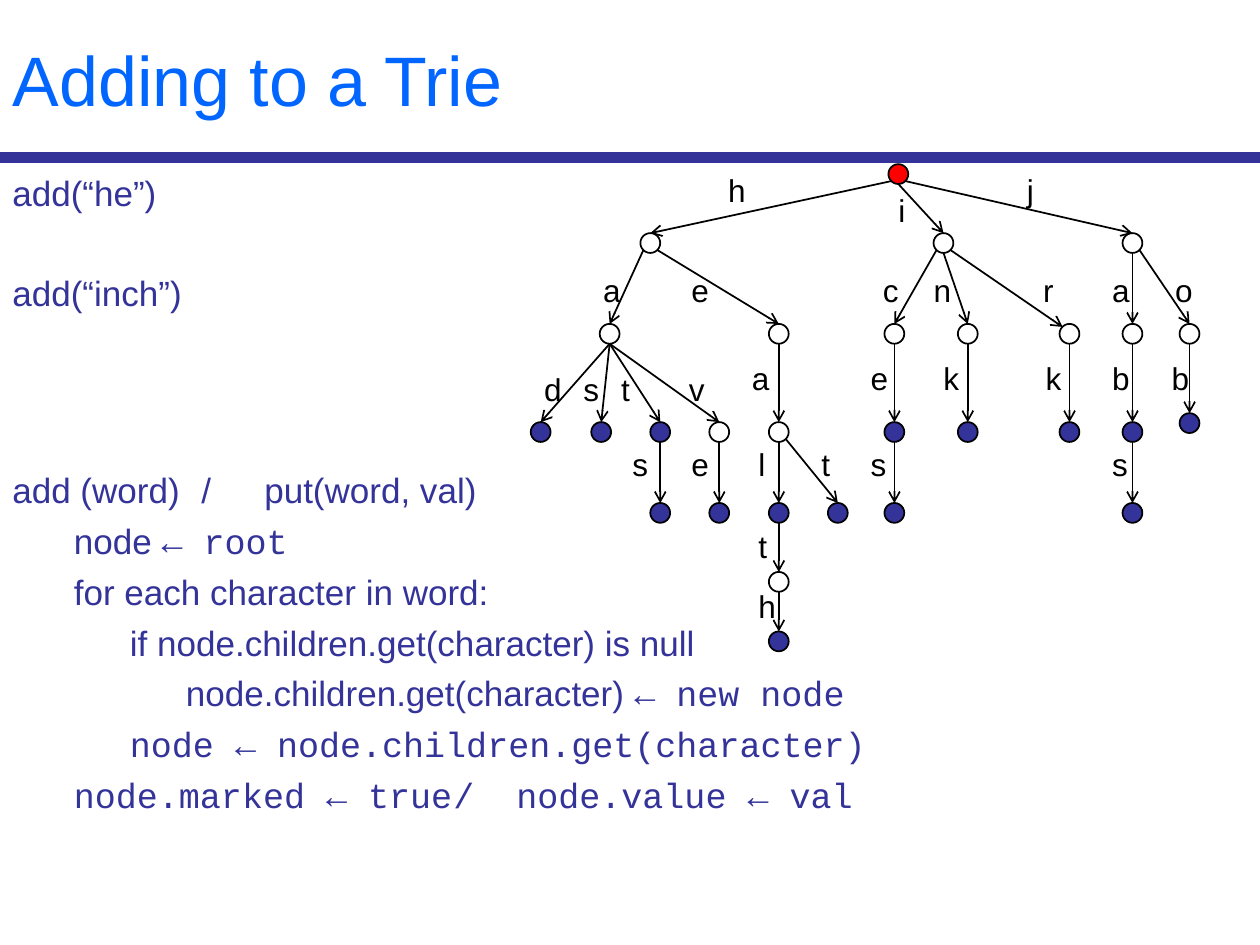
from lxml.etree import SubElement
from pptx import Presentation
from pptx.dml.color import RGBColor
from pptx.enum.shapes import MSO_CONNECTOR, MSO_SHAPE
from pptx.enum.text import MSO_ANCHOR, PP_ALIGN
from pptx.oxml.ns import qn
from pptx.util import Cm, Pt

COLORS = {"title": "0066FF", "main": "333399", "root": "FF0000",
          "open": "FFFFFF", "ink": "000000"}
SANS, MONO = "Arial", "Courier New"

# space before (pt), first-line indent (cm), tab stops (cm), runs of (text, font)
LINES = [
    (0, 0, [], [("add(“he”)", SANS)]),
    (33, 0, [], [("add(“inch”)", SANS)]),
    (89, 0, [3.75, 4.55], [("add (word)\t/\tput(word, val)", SANS)]),
    (5, 1.24, [], [("node ", SANS), ("← root", MONO)]),
    (5, 1.24, [], [("for each character in word:", SANS)]),
    (5, 2.37, [], [("if node.children.get(character) is null", SANS)]),
    (5, 3.5, [], [("node.children.get(character) ", SANS), ("← new node", MONO)]),
    (5, 2.37, [], [("node ← node.children.get(character)", MONO)]),
    (5, 1.24, [10.54, 12.65], [("node.marked ← true\t/\tnode.value ← val", MONO)]),
]

# Node centre and label corner, in cm from the top left of the trie; the key
# is the prefix a node stands for, so its parent is the key less one letter.
ROW = [0.21, 1.6, 3.43, 5.41, 7.04, 8.43, 9.63]
LABEL_ROW = [None, 0.03, 2.03, 3.81, 5.54, 7.19, 8.41]
NODE_X = {
    "": 7.61, "h": 2.61, "i": 8.52, "j": 12.33,
    "ha": 1.79, "he": 5.2, "ic": 7.53, "in": 9.01, "ir": 11.06, "ja": 12.33, "jo": 13.48,
    "had": 0.4, "has": 1.62, "hat": 2.81, "hav": 4, "hea": 5.2, "ice": 7.53,
    "ink": 9.01, "irk": 11.06, "jab": 12.33, "job": 13.48,
    "hats": 2.81, "have": 4, "heal": 5.2, "heat": 6.39, "ices": 7.53, "jabs": 12.33,
    "healt": 5.2, "health": 5.2,
}
LABEL_X = {
    "h": 3.93, "i": 7.36, "j": 9.95,
    "ha": 1.41, "he": 3.19, "ic": 7.05, "in": 8.07, "ir": 10.28, "ja": 11.67, "jo": 12.94,
    "had": 0.22, "has": 1.01, "hat": 1.77, "hav": 3.14, "hea": 4.41, "ice": 6.8,
    "ink": 8.27, "irk": 10.33, "jab": 11.67, "job": 12.87,
    "hats": 2, "have": 3.19, "heal": 4.54, "heat": 5.81, "ices": 6.8, "jabs": 11.67,
    "healt": 4.54, "health": 4.54,
}
NODE_Y = {prefix: ROW[len(prefix)] for prefix in NODE_X} | {"job": 5.23}
LABEL_Y = {prefix: LABEL_ROW[len(prefix)] for prefix in LABEL_X}
LABEL_Y |= {"i": 0.43} | dict.fromkeys(["had", "has", "hat", "hav"], 4.04)
WORDS = set("had has hat hats have heal heat health ice ices ink irk jab jabs job".split())
FROM_SIDE = {"h", "j", "ha", "he", "ic", "ir", "jo", "heat"}
RADIUS = 0.2


def color(name):
    """Return a colour of the palette."""
    return RGBColor.from_string(COLORS[name])


def format_font(font, size, color_name, name=SANS):
    """Set size, colour and typeface."""
    font.size, font.name = Pt(size), name
    font.color.rgb = color(color_name)


def add_line(slide, start, end, color_name, width, arrow=False):
    """Draw a straight line between two points in cm."""
    line = slide.shapes.add_connector(
        MSO_CONNECTOR.STRAIGHT, *(Cm(value) for value in (*start, *end)))
    line.line.color.rgb = color(color_name)
    line.line.width = Pt(width)
    if arrow:
        SubElement(line.line._get_or_add_ln(), qn("a:tailEnd"), type="arrow")
    SubElement(line._element.spPr, qn("a:effectLst"))


def add_title(slide, left, top, width, height):
    """Place the title with the rule along its lower edge."""
    add_line(slide, (left, top + height), (left + width, top + height), "main", 6)
    title = slide.shapes.title
    title.left, title.top, title.width, title.height = map(Cm, (left, top, width, height))
    title.text_frame.text = "Adding to a Trie"
    title.text_frame.vertical_anchor = MSO_ANCHOR.MIDDLE
    paragraph = title.text_frame.paragraphs[0]
    paragraph.alignment = PP_ALIGN.LEFT
    format_font(paragraph.font, 40, "title")


def add_code(slide, left, top, width, height):
    """Write the calls and the pseudocode."""
    frame = slide.shapes.add_textbox(*map(Cm, (left, top, width, height))).text_frame
    frame.word_wrap = True
    for index, (space, indent, stops, runs) in enumerate(LINES):
        paragraph = frame.add_paragraph() if index else frame.paragraphs[0]
        paragraph.space_before = Pt(space)
        properties = paragraph._p.get_or_add_pPr()
        properties.set("marL", "0")
        properties.set("indent", str(Cm(indent)))
        if stops:
            tabs = SubElement(properties, qn("a:tabLst"))
            for stop in stops:
                SubElement(tabs, qn("a:tab"), pos=str(Cm(stop)), algn="l")
        format_font(paragraph.font, 20, "main", runs[0][1])
        for text, font_name in runs:
            run = paragraph.add_run()
            run.text = text
            if font_name != runs[0][1]:
                run.font.name = font_name


def add_edge(slide, left, top, prefix):
    """Draw the arrow from the parent of a prefix to its node."""
    parent = prefix[:-1]
    x, y = left + NODE_X[parent], top + NODE_Y[parent]
    end_x, end_y = left + NODE_X[prefix], top + NODE_Y[prefix] - RADIUS
    if prefix in FROM_SIDE:
        corner = 0.7 * RADIUS
        start = (x + (corner if end_x > x else -corner), y + corner)
    else:
        start = (x, y + RADIUS)
    if prefix == "ir":
        end_x, end_y = end_x - 0.14, end_y + 0.06
    add_line(slide, start, (end_x, end_y), "ink", 1, arrow=True)


def add_node(slide, left, top, prefix):
    """Draw a node, filled where a word ends."""
    node = slide.shapes.add_shape(
        MSO_SHAPE.OVAL, Cm(left + NODE_X[prefix] - RADIUS),
        Cm(top + NODE_Y[prefix] - RADIUS), Cm(2 * RADIUS), Cm(2 * RADIUS))
    node.shadow.inherit = False
    node.fill.solid()
    fill = "main" if prefix in WORDS else "open"
    node.fill.fore_color.rgb = color(fill if prefix else "root")
    node.line.color.rgb = color("ink")
    node.line.width = Pt(1)


def add_label(slide, left, top, prefix):
    """Write the last letter of a prefix beside its edge."""
    letter = prefix[-1]
    width = 0.68 if letter in "ijlt" else 0.87
    frame = slide.shapes.add_textbox(
        Cm(left + LABEL_X[prefix]), Cm(top + LABEL_Y[prefix]), Cm(width), Cm(1.02)).text_frame
    frame.word_wrap = True
    frame.text = letter
    format_font(frame.paragraphs[0].font, 18, "ink")


def add_trie(slide, left, top):
    """Draw edges, nodes and letters of the trie."""
    for prefix in LABEL_X:
        add_edge(slide, left, top, prefix)
    for prefix in NODE_X:
        add_node(slide, left, top, prefix)
    for prefix in LABEL_X:
        add_label(slide, left, top, prefix)


presentation = Presentation()
presentation.slide_width, presentation.slide_height = Cm(25.4), Cm(19.05)
trie_slide = presentation.slides.add_slide(presentation.slide_layouts[5])
add_title(trie_slide, 0, 0, 25.4, 3.18)
add_code(trie_slide, 0, 3.33, 25.4, 15.72)
add_trie(trie_slide, 10.5, 3.3)
presentation.save("out.pptx")
